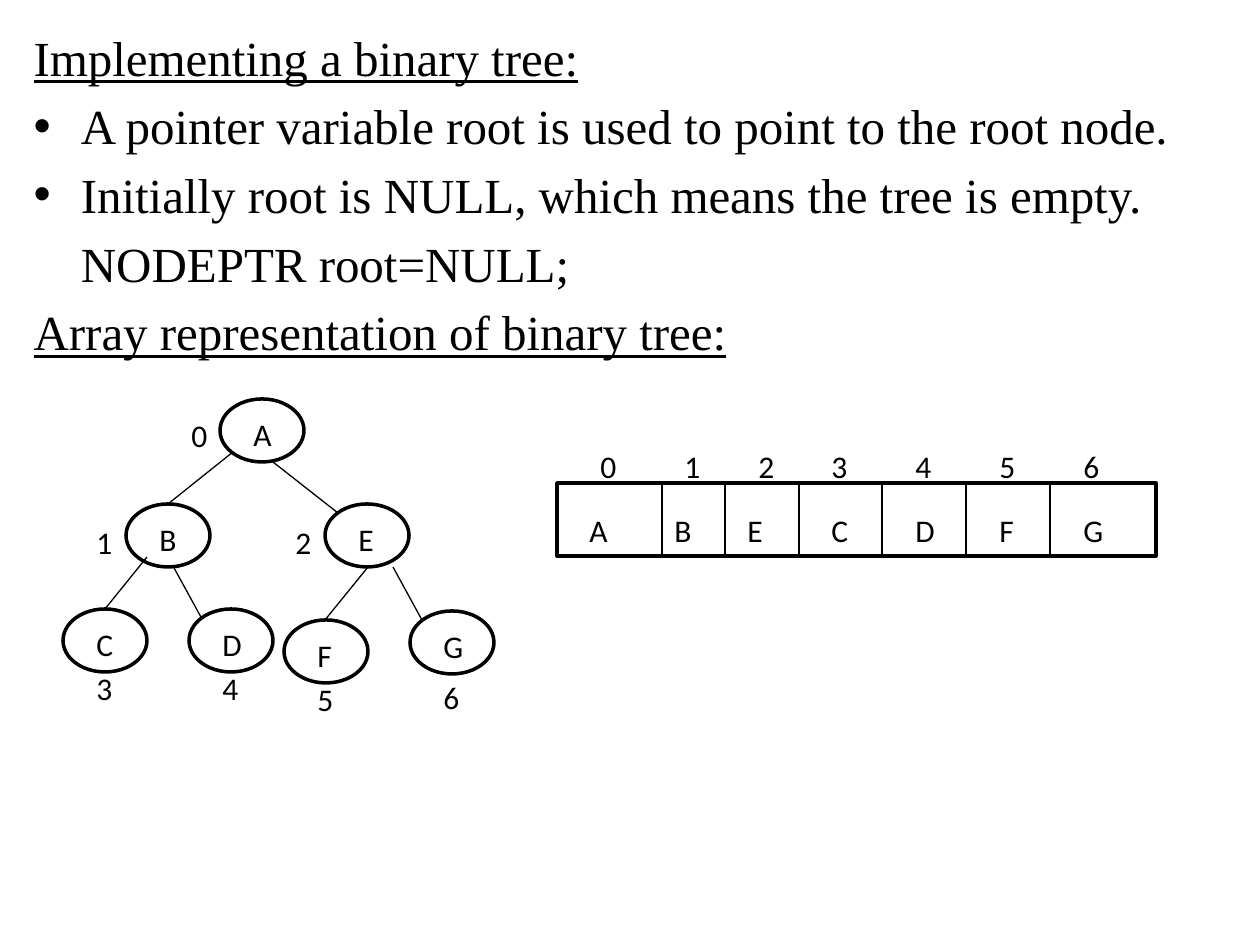
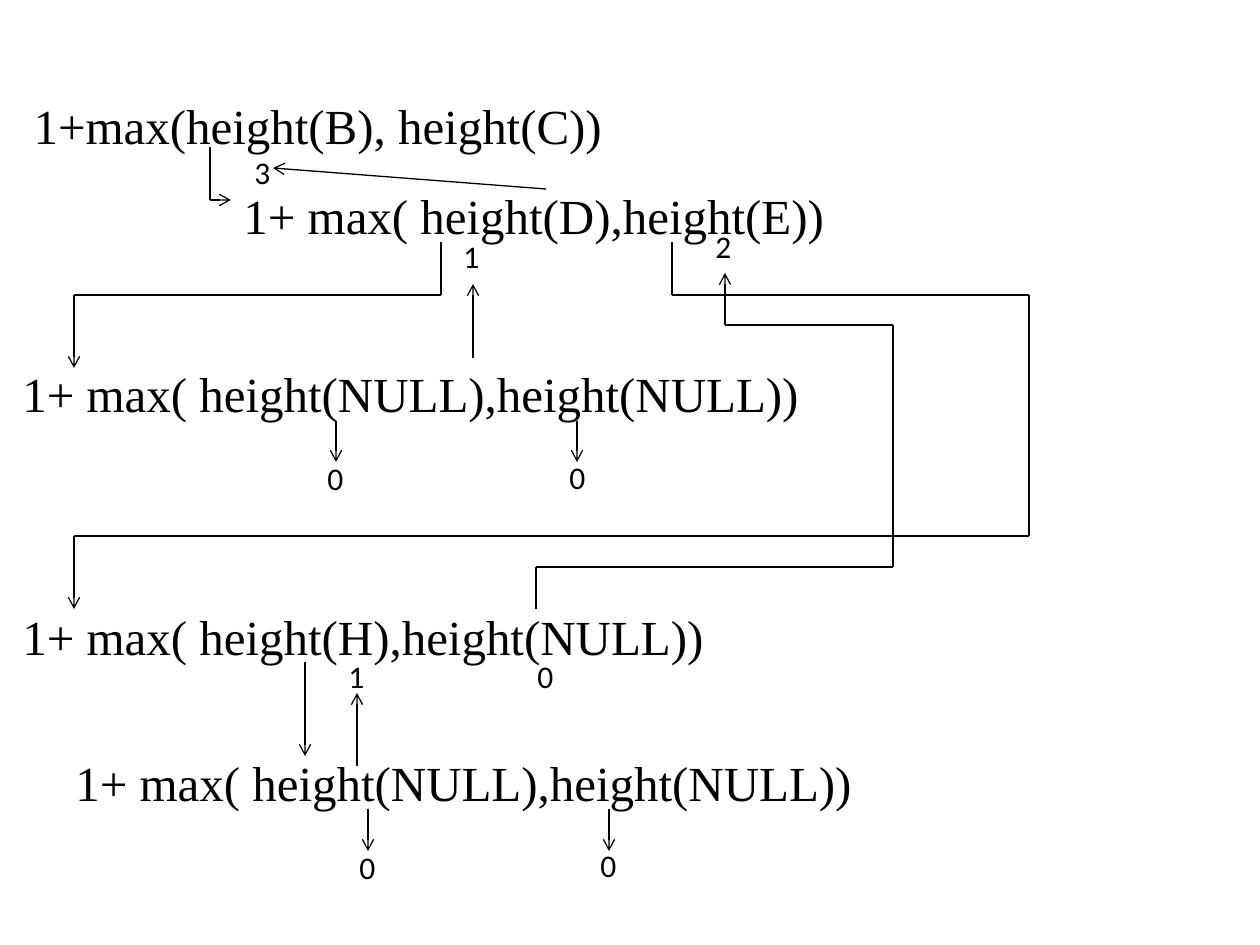
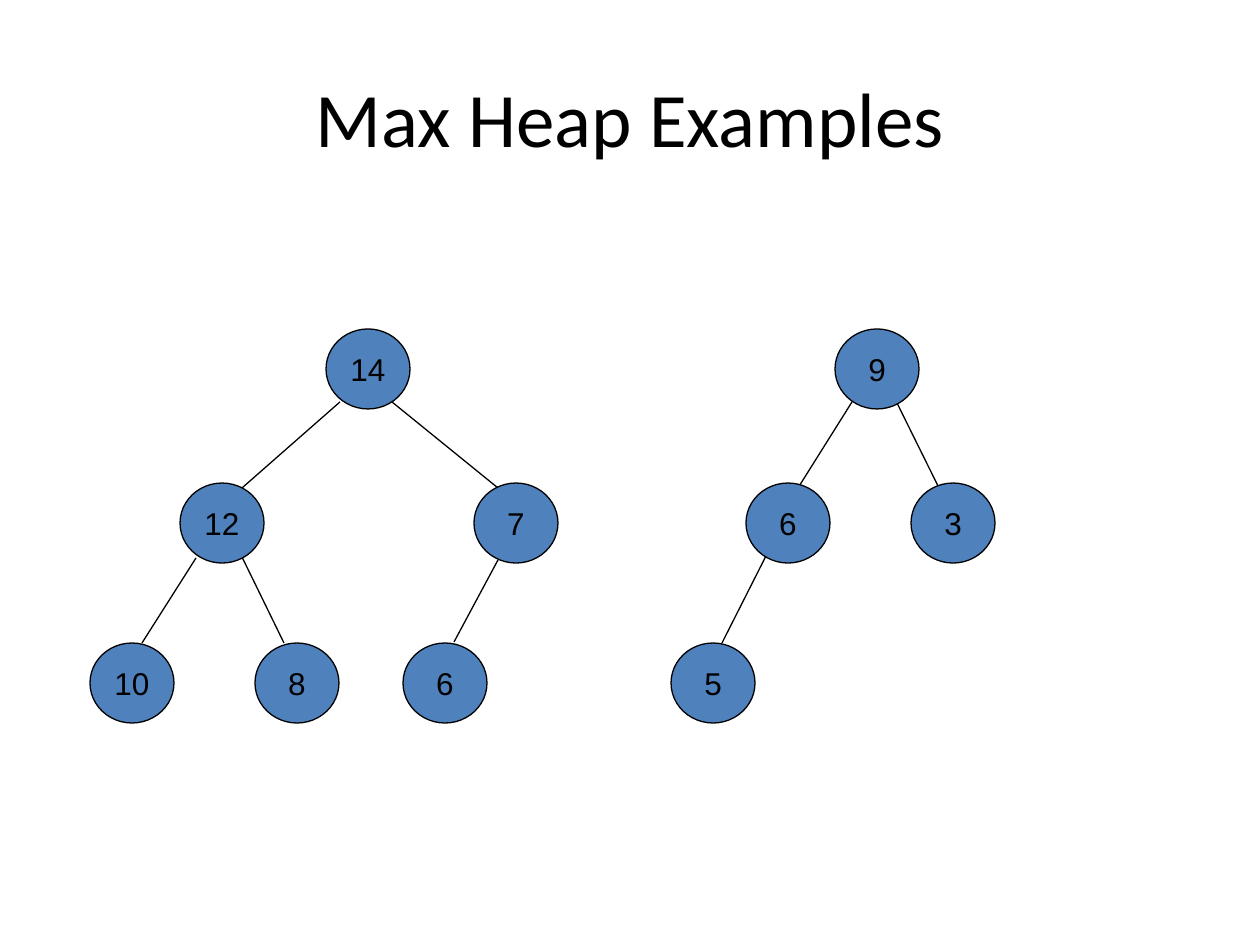
"""Build three slides about binary trees, tree height and max heaps."""
import lxml.etree
import pptx
import pptx.dml.color
import pptx.enum.shapes
import pptx.enum.text
import pptx.oxml.ns
import pptx.util

PX_PER_INCH = 126
BLACK, WHITE, BLUE = "000000", "FFFFFF", "4F81BD"
SERIF, SANS, HEAP_FONT = "Times New Roman", "Calibri", "Arial"
THIN, THICK = 0.75, 2
TITLE_AND_CONTENT, TITLE_ONLY = 1, 5
SHAPES = pptx.enum.shapes.MSO_SHAPE
ALIGN = pptx.enum.text.PP_ALIGN
MIDDLE = pptx.enum.text.MSO_ANCHOR.MIDDLE


def px(length):
    """Turn px into EMU."""
    return pptx.util.Emu(round(length * 914400 / PX_PER_INCH))


def color(hex_code):
    """Turn a hex string into a colour."""
    return pptx.dml.color.RGBColor.from_string(hex_code)


def add_run(paragraph, words, font, size, underline=False):
    """Add one black run to a paragraph."""
    run = paragraph.add_run()
    run.text = words
    run.font.name = font
    run.font.size = pptx.util.Pt(size)
    run.font.color.rgb = color(BLACK)
    run.font.underline = underline


def label(slide, words, x, y, width=53, height=50, font=SANS, size=18):
    """Add a line of text in a box."""
    frame = slide.shapes.add_textbox(px(x), px(y), px(width), px(height)).text_frame
    frame.word_wrap = True
    add_run(frame.paragraphs[0], words, font, size)


def formula(slide, words, x, y, width=829):
    """Add one step of the height recursion."""
    label(slide, words, x, y, width, 72, SERIF, 28)


def outlined(slide, kind, x, y, width, height, fill, weight):
    """Add a filled shape with a black outline."""
    shape = slide.shapes.add_shape(kind, px(x), px(y), px(width), px(height))
    shape.shadow.inherit = False
    shape.fill.solid()
    shape.fill.fore_color.rgb = color(fill)
    shape.line.color.rgb = color(BLACK)
    shape.line.width = pptx.util.Pt(weight)
    return shape


def tree_node(slide, letter, x, y, index, index_x, index_y):
    """Add a lettered tree node and its array index."""
    outlined(slide, SHAPES.OVAL, x, y, 84, 63, WHITE, THICK)
    label(slide, letter, x + 21, y + 10)
    label(slide, index, index_x, index_y, 63)


def heap_node(slide, key, x, y):
    """Add a blue heap node holding its key."""
    node = outlined(slide, SHAPES.OVAL, x, y, 84, 80, BLUE, THIN)
    frame = node.text_frame
    frame.word_wrap = False
    frame.vertical_anchor = MIDDLE
    frame.paragraphs[0].alignment = ALIGN.CENTER
    add_run(frame.paragraphs[0], key, HEAP_FONT, 18)


def route(slide, *points, arrow=False):
    """Join points with thin lines, with an optional arrowhead at the end."""
    for start, end in zip(points, points[1:]):
        line = slide.shapes.add_connector(
            pptx.enum.shapes.MSO_CONNECTOR.STRAIGHT, *map(px, start + end))
        line.line.color.rgb = color(BLACK)
        line.line.width = pptx.util.Pt(THIN)
        properties = line.element.spPr
        lxml.etree.SubElement(properties, pptx.oxml.ns.qn("a:effectLst"))
    if arrow:
        outline = properties.find(pptx.oxml.ns.qn("a:ln"))
        lxml.etree.SubElement(outline, pptx.oxml.ns.qn("a:tailEnd"), type="arrow")


def body_slide(deck, height):
    """Add a slide without a title and return it with its body text frame."""
    slide = deck.slides.add_slide(deck.slide_layouts[TITLE_AND_CONTENT])
    title = slide.shapes.title.element
    title.getparent().remove(title)
    body = slide.placeholders[1]
    body.left, body.top, body.width, body.height = map(px, (21, 21, 1218, height))
    body.text_frame.auto_size = pptx.enum.text.MSO_AUTO_SIZE.NONE
    return slide, body.text_frame


def body_line(paragraph, words, style="plain"):
    """Fill a body paragraph as a heading, bullet, indented or plain line."""
    if style != "bullet":
        properties = paragraph._p.get_or_add_pPr()
        if style == "indented":
            properties.set("indent", "0")
        lxml.etree.SubElement(properties, pptx.oxml.ns.qn("a:buNone"))
    add_run(paragraph, words, SERIF, 28, style == "heading")


def array_slide(deck):
    """Show a binary tree and its array representation."""
    slide, body = body_slide(deck, 903)
    lines = [
        ("Implementing a binary tree:", "heading"),
        ("A pointer variable root is used to point to the root node.", "bullet"),
        ("Initially root is NULL, which means the tree is empty.", "bullet"),
        ("NODEPTR root=NULL;", "indented"),
        ("Array representation of binary tree:", "heading"),
    ]
    for number, (words, style) in enumerate(lines):
        paragraph = body.add_paragraph() if number else body.paragraphs[0]
        body_line(paragraph, words, style)

    for node in [
        ("A", 220, 399, "0", 179, 410),
        ("B", 126, 504, "1", 84, 517),
        ("E", 325, 504, "2", 283, 517),
        ("C", 63, 609, "3", 84, 663),
        ("D", 189, 609, "4", 210, 663),
        ("F", 284, 620, "5", 305, 674),
        ("G", 410, 611, "6", 431, 672),
    ]:
        tree_node(slide, *node)
    for parent, child in [
        ((233, 452), (168, 504)), ((273, 462), (338, 513)),
        ((173, 566), (202, 619)), ((147, 557), (105, 609)),
        ((393, 567), (422, 620)), ((368, 567), (325, 620)),
    ]:
        route(slide, parent, child)

    outlined(slide, SHAPES.RECTANGLE, 557, 483, 599, 73, WHITE, THICK)
    for divider in (662, 725, 799, 882, 966, 1050):
        route(slide, (divider, 483), (divider, 556))
    cells = zip("ABECDFG", (577, 662, 735, 819, 903, 987, 1071),
                (588, 672, 746, 819, 903, 987, 1071))
    for index, (letter, letter_x, index_x) in enumerate(cells):
        label(slide, letter, letter_x, 505, 63)
        label(slide, str(index), index_x, 441, 63)


def height_slide(deck):
    """Trace the recursive computation of a tree's height."""
    slide, body = body_slide(deck, 892)
    body.margin_top = px(75)
    body_line(body.paragraphs[0], "1+max(height(B), height(C))")

    formula(slide, "1+ max( height(D),height(E))", 231, 179, 714)
    formula(slide, "1+ max( height(NULL),height(NULL))", 10, 357)
    formula(slide, "1+ max( height(H),height(NULL))", 10, 600)
    formula(slide, "1+ max( height(NULL),height(NULL))", 63, 746)

    for value, x, y in [
        ("3", 242, 147), ("1", 451, 231), ("2", 703, 221),
        ("0", 315, 453), ("0", 557, 452), ("1", 336, 651),
        ("0", 525, 651), ("0", 347, 842), ("0", 588, 840),
    ]:
        label(slide, value, x, y, 42)

    for points in [
        [(210, 147), (210, 200), (231, 200)],
        [(441, 242), (441, 295), (74, 295), (74, 368)],
        [(672, 242), (672, 295), (1029, 295), (1029, 536), (74, 536), (74, 609)],
        [(536, 609), (536, 567), (893, 567), (893, 325), (725, 325), (725, 273)],
        [(336, 421), (336, 462)],
        [(577, 421), (577, 462)],
        [(473, 358), (473, 284)],
        [(305, 662), (305, 756)],
        [(357, 766), (357, 693)],
        [(368, 809), (368, 851)],
        [(609, 809), (609, 851)],
        [(546, 189), (273, 168)],
    ]:
        route(slide, *points, arrow=True)


def heap_slide(deck):
    """Show two max heaps."""
    slide = deck.slides.add_slide(deck.slide_layouts[TITLE_ONLY])
    title = slide.shapes.title
    title.left, title.top, title.width, title.height = map(px, (63, 38, 1134, 157))
    title.text_frame.vertical_anchor = MIDDLE
    heading = title.text_frame.paragraphs[0]
    heading.alignment = ALIGN.CENTER
    add_run(heading, "Max Heap Examples", SANS, 44)

    for parent, child in [
        ((340, 402), (242, 488)), ((392, 402), (498, 488)),
        ((196, 558), (142, 643)), ((242, 557), (284, 643)),
        ((498, 560), (454, 642)), ((852, 402), (798, 488)),
        ((897, 403), (939, 488)), ((766, 556), (722, 643)),
    ]:
        route(slide, parent, child)
    levels = {
        329: [("14", 326), ("9", 835)],
        483: [("12", 180), ("7", 474), ("6", 746), ("3", 911)],
        643: [("10", 90), ("8", 255), ("6", 403), ("5", 671)],
    }
    for y, nodes in levels.items():
        for key, x in nodes:
            heap_node(slide, key, x, y)


def main():
    """Build and save the deck."""
    deck = pptx.Presentation()
    deck.slide_width, deck.slide_height = px(1260), px(945)
    array_slide(deck)
    height_slide(deck)
    heap_slide(deck)
    deck.save("out.pptx")


if __name__ == "__main__":
    main()
